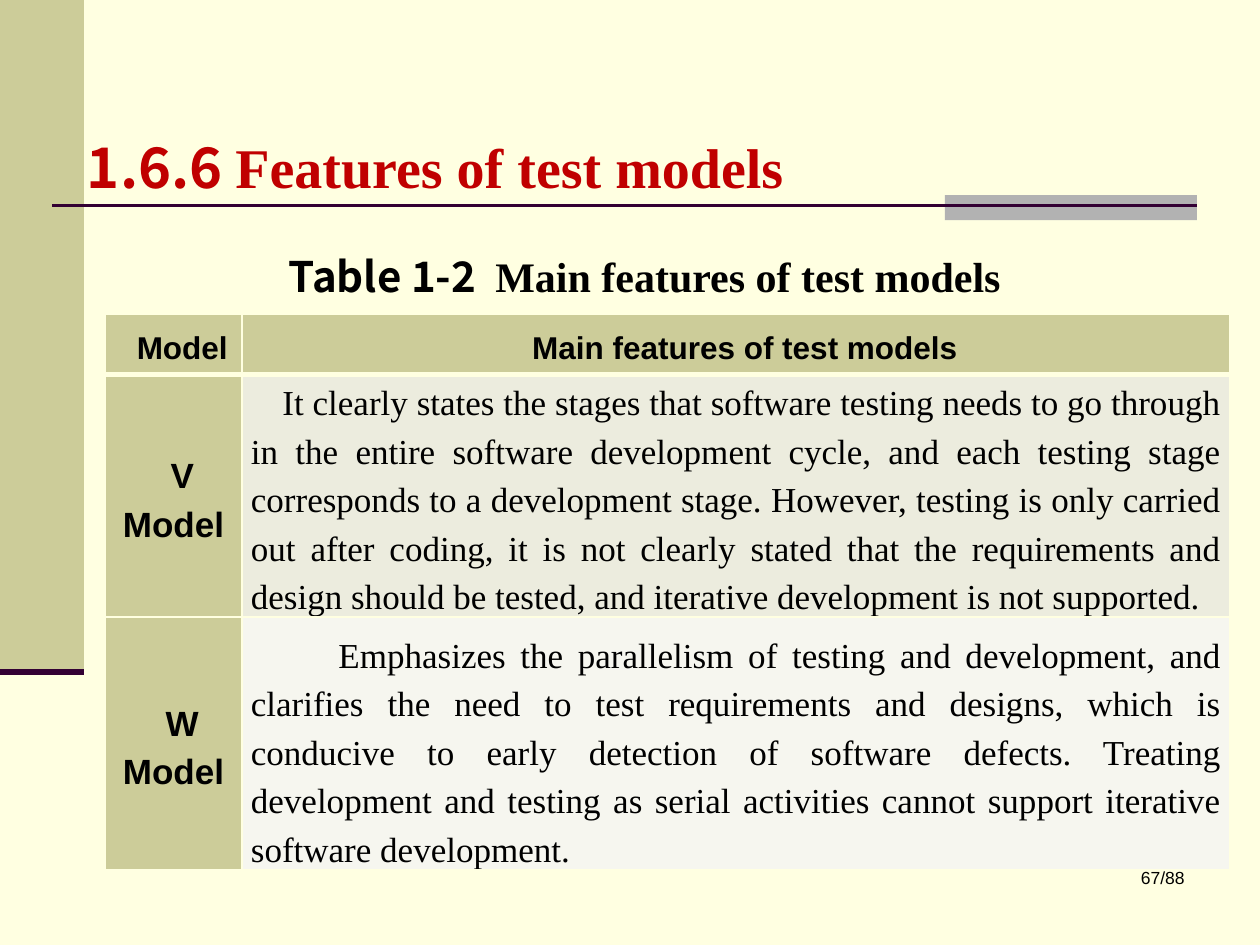
from lxml import etree
from pptx import Presentation
from pptx.dml.color import RGBColor
from pptx.enum.shapes import MSO_CONNECTOR, MSO_SHAPE
from pptx.enum.text import MSO_ANCHOR, PP_ALIGN
from pptx.oxml.ns import qn
from pptx.util import Pt

LEFT, CENTER, RIGHT, JUSTIFY = PP_ALIGN.LEFT, PP_ALIGN.CENTER, PP_ALIGN.RIGHT, PP_ALIGN.JUSTIFY
MIDDLE = MSO_ANCHOR.MIDDLE
RECTANGLE, STRAIGHT = MSO_SHAPE.RECTANGLE, MSO_CONNECTOR.STRAIGHT
SANS, SERIF, CJK = "Arial", "Times New Roman", "Noto Sans CJK SC"
COLORS = {
    "page": "FFFFE1", "olive": "CCCC99", "gray": "B2B2B2", "plum": "330033",
    "red": "C00000", "black": "000000", "odd": "ECECDE", "even": "F6F6EF",
}
FEATURES = [
    ("V Model",
     "It clearly states the stages that software testing needs to go through in the entire "
     "software development cycle, and each testing stage corresponds to a development stage. "
     "However, testing is only carried out after coding, it is not clearly stated that the "
     "requirements and design should be tested, and iterative development is not supported.",
     "odd", 18, 0),
    ("W Model",
     "Emphasizes the parallelism of testing and development, and clarifies the need to test "
     "requirements and designs, which is conducive to early detection of software defects. "
     "Treating development and testing as serial activities cannot support iterative "
     "software development.",
     "even", 50, 5.7),
]


def rgb(name):
    return RGBColor.from_string(COLORS[name])


def write(frame, spans, size, color="black", bold=False, align=LEFT,
          margin=0, indent=0, spacing=None):
    """Write (text, font) spans as one formatted paragraph."""
    frame.word_wrap = True
    para = frame.paragraphs[0]
    para.alignment = align
    para.line_spacing = spacing
    properties = para._p.get_or_add_pPr()
    properties.set("marL", str(Pt(margin)))
    properties.set("indent", str(Pt(indent)))
    for text, font in spans:
        span = para.add_run()
        span.text = text
        span.font.name = font
        span.font.size = Pt(size)
        span.font.bold = bold
        span.font.color.rgb = rgb(color)
        east_asian = etree.SubElement(span._r.get_or_add_rPr(), qn("a:ea"))
        east_asian.set("typeface", font)


def add_text(page, left, top, width, height, spans, size, **style):
    box = page.shapes.add_textbox(Pt(left), Pt(top), Pt(width), Pt(height))
    write(box.text_frame, spans, size, **style)


def add_bar(page, left, top, width, height, color):
    bar = page.shapes.add_shape(RECTANGLE, Pt(left), Pt(top), Pt(width), Pt(height))
    bar.shadow.inherit = False
    bar.fill.solid()
    bar.fill.fore_color.rgb = rgb(color)
    bar.line.fill.background()


def add_rule(page, left, right, height, weight):
    rule = page.shapes.add_connector(STRAIGHT, Pt(left), Pt(height), Pt(right), Pt(height))
    rule.line.color.rgb = rgb("plum")
    rule.line.width = Pt(weight)
    etree.SubElement(rule._element.spPr, qn("a:effectLst"))


def add_title(page, spans):
    title = page.shapes.title
    title.left, title.top, title.width, title.height = Pt(42.5), Pt(49.7), Pt(612), Pt(90)
    title.text_frame.vertical_anchor = MIDDLE
    write(title.text_frame, spans, 32, color="red", bold=True)


def set_borders(cell, **weights):
    properties = cell._tc.get_or_add_tcPr()
    for side in "LRTB":
        line = etree.SubElement(properties, qn(f"a:ln{side}"), w=str(Pt(weights.get(side, 1))))
        fill = etree.SubElement(line, qn("a:solidFill"))
        etree.SubElement(fill, qn("a:srgbClr"), val=COLORS["page"])


def fill_cell(cell, text, font, size, color, top=0, borders=None, **style):
    cell.margin_left = cell.margin_right = Pt(5.1)
    cell.margin_top, cell.margin_bottom = Pt(top), 0
    cell.vertical_anchor = MIDDLE
    set_borders(cell, **(borders or {}))
    cell.fill.solid()
    cell.fill.fore_color.rgb = rgb(color)
    write(cell.text_frame, [(text, font)], size, spacing=1.25, **style)


def add_features_table(page):
    widths, heights = (78.3, 564.7), (34.5, 138.2, 144)
    table = page.shapes.add_table(3, 2, Pt(60), Pt(179.5), Pt(sum(widths)),
                                  Pt(sum(heights))).table
    for column, width in zip(table.columns, widths):
        column.width = Pt(width)
    for row, height in zip(table.rows, heights):
        row.height = Pt(height)
    label = {"color": "olive", "bold": True, "align": CENTER, "indent": 10}
    for column, text in enumerate(("Model", "Main features of test models")):
        fill_cell(table.cell(0, column), text, SANS, 18, borders={"B": 3}, **label)
    for row, (model, feature, color, indent, top) in enumerate(FEATURES, 1):
        borders = {"T": 3} if row == 1 else None
        fill_cell(table.cell(row, 0), model, SANS, 20, borders=borders, **label)
        fill_cell(table.cell(row, 1), feature, SERIF, 20, color, top=top,
                  borders=borders, align=JUSTIFY, indent=indent)


def main():
    deck = Presentation()
    deck.slide_width, deck.slide_height = Pt(720), Pt(540)
    page = deck.slides.add_slide(deck.slide_layouts[5])
    page.background.fill.solid()
    page.background.fill.fore_color.rgb = rgb("page")
    add_bar(page, 0, 0, 48, 384, "olive")
    add_bar(page, 540, 111.5, 144, 14.4, "gray")
    add_rule(page, 30, 684, 117.5, 1.5)
    add_rule(page, 0, 48, 384, 3.5)
    add_title(page, [("1.6.6 ", CJK), ("Features of test models", SERIF)])
    add_features_table(page)
    add_text(page, 65.5, 139.7, 584, 36,
             [("Table 1-2  ", CJK), ("Main features of test models", SERIF)],
             24, bold=True, align=CENTER, margin=22)
    add_text(page, 534, 492, 150, 36, [("67/88", SANS)], 10, align=RIGHT)
    deck.save("out.pptx")


if __name__ == "__main__":
    main()
